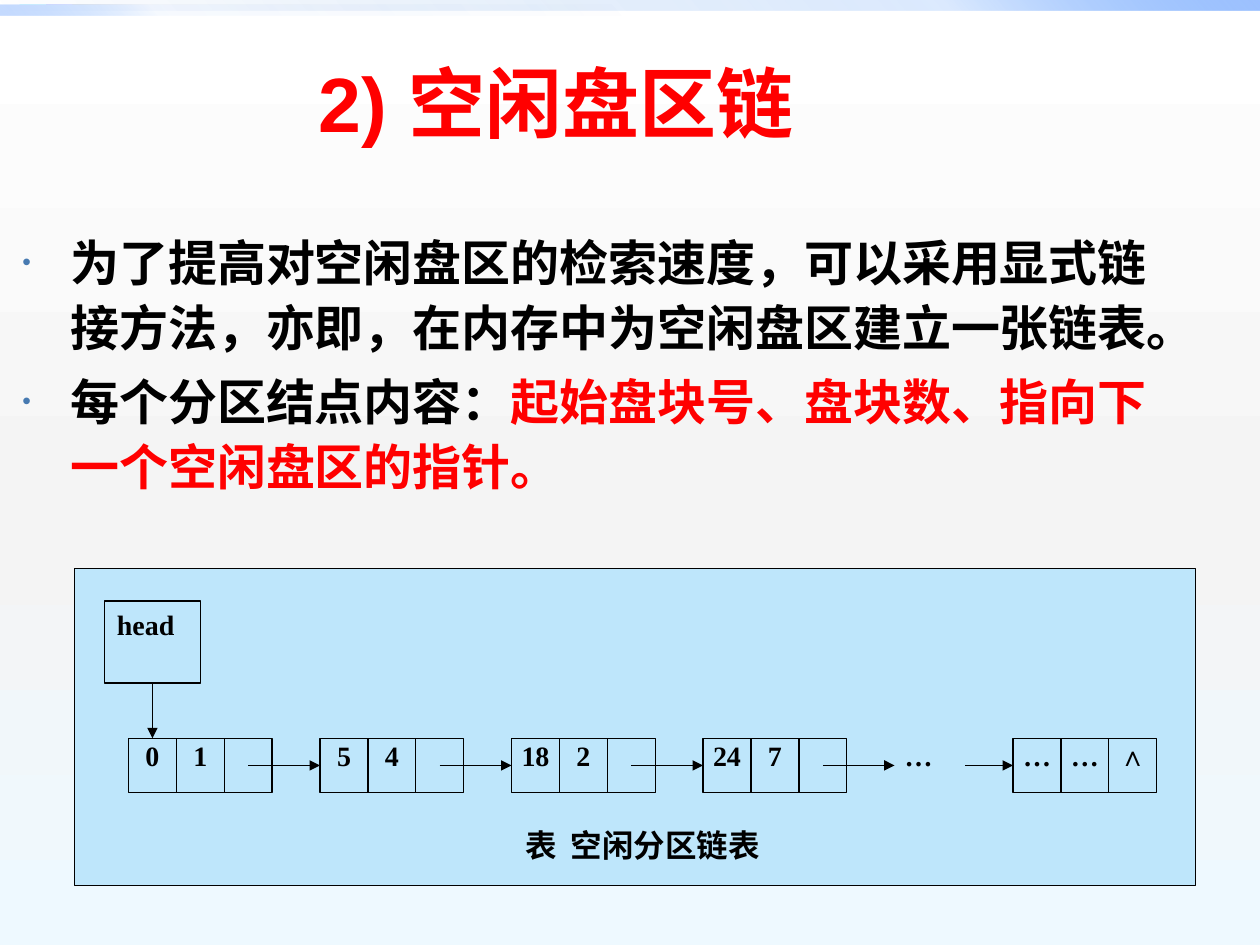
from lxml import etree
from pptx import Presentation
from pptx.dml.color import RGBColor
from pptx.enum.shapes import MSO_CONNECTOR as CONN, MSO_SHAPE as SHAPE
from pptx.enum.text import MSO_ANCHOR as ANCHOR, PP_ALIGN as ALIGN
from pptx.oxml.ns import qn
from pptx.util import Inches, Pt

COLORS = {
    "black": "000000", "red": "FF0000", "bullet": "477AB1", "panel": "BEE6FB",
    "deep": "0058B7", "blue": "4F95FF", "pale": "9EC2FF",
    "white": "FFFFFF", "gray": "F4F4F4", "ice": "EEF9FF",
}
SERIF = "Times New Roman"
CELL_W, CELL_H, ROW_Y = 0.38, 0.43, 5.86
NODE_X, NODE_STEP = 1.02, 1.52
NODES = [("0", "1"), ("5", "4"), ("18", "2"), ("24", "7")]


def rgb(name):
    return RGBColor.from_string(COLORS[name])


def sub(parent, tag, **attrs):
    return etree.SubElement(parent, qn(tag), {k: str(v) for k, v in attrs.items()})


def set_gradient(fill, root, stops, angle):
    """Fill with (position %, colour, opacity %) stops; the angle runs clockwise."""
    fill.gradient()
    grad = next(root.iter(qn("a:gradFill")))
    for child in list(grad):
        grad.remove(child)
    gs_list = sub(grad, "a:gsLst")
    for pos, color, opacity in stops:
        clr = sub(sub(gs_list, "a:gs", pos=pos * 1000), "a:srgbClr", val=COLORS[color])
        if opacity < 100:
            sub(clr, "a:alpha", val=opacity * 1000)
    sub(grad, "a:lin", ang=angle * 60000, scaled=0)


def set_font(p, size, color="black", name=SERIF):
    f = p.font
    f.size, f.bold, f.name = Pt(size), True, name
    f.color.rgb = rgb(color)


def add_rect(s, x, y, w, h, fill=None, outlined=True):
    sp = s.shapes.add_shape(SHAPE.RECTANGLE, Inches(x), Inches(y), Inches(w), Inches(h))
    sp.shadow.inherit = False
    if fill:
        sp.fill.solid()
        sp.fill.fore_color.rgb = rgb(fill)
    else:
        sp.fill.background()
    if outlined:
        sp.line.color.rgb = rgb("black")
        sp.line.width = Pt(0.75)
    else:
        sp.line.fill.background()
    return sp


def add_box(s, x, y, w, h):
    return s.shapes.add_textbox(Inches(x), Inches(y), Inches(w), Inches(h))


def write(sp, text, size, align=ALIGN.CENTER, anchor=ANCHOR.TOP, inset=None, **font):
    tf = sp.text_frame
    tf.word_wrap = True
    tf.vertical_anchor = anchor
    if inset is not None:
        tf.margin_left = tf.margin_right = tf.margin_top = tf.margin_bottom = inset
    p = tf.paragraphs[0]
    p.text, p.alignment = text, align
    set_font(p, size, **font)


def add_arrow(s, x1, y1, x2, y2):
    c = s.shapes.add_connector(CONN.STRAIGHT, Inches(x1), Inches(y1), Inches(x2), Inches(y2))
    c.line.color.rgb = rgb("black")
    c.line.width = Pt(0.75)
    sub(c.line._get_or_add_ln(), "a:tailEnd", type="triangle")
    sub(c._element.spPr, "a:effectLst")


def add_node(s, x, values):
    """A row of three cells: start block, block count, pointer."""
    for i, value in enumerate(values):
        cell = add_rect(s, x + i * CELL_W, ROW_Y, CELL_W, CELL_H)
        if value:
            write(cell, value, 16, inset=0)


def add_bullets(s, items):
    tf = add_box(s, 0.08, 1.75, 9.45, 1.84).text_frame
    tf.word_wrap = True
    for i, runs in enumerate(items):
        p = tf.add_paragraph() if i else tf.paragraphs[0]
        set_font(p, 28, name="Cambria")
        p.line_spacing, p.space_before = 1.1, Pt(5.6)
        for text, color in runs:
            r = p.add_run()
            r.text = text
            r.font.size, r.font.bold, r.font.name = Pt(28), True, "Cambria"
            r.font.color.rgb = rgb(color)
        ppr = p._p.get_or_add_pPr()
        ppr.set("marL", str(Inches(0.38)))
        ppr.set("indent", str(-Inches(0.38)))
        bullet = etree.Element("bullet")
        sub(sub(bullet, "a:buClr"), "a:srgbClr", val=COLORS["bullet"])
        sub(bullet, "a:buSzPct", val=50000)
        sub(bullet, "a:buFont", typeface="Arial")
        sub(bullet, "a:buChar", char="•")
        default_font = ppr.find(qn("a:defRPr"))
        for el in list(bullet):
            default_font.addprevious(el)


def add_backdrop(s):
    set_gradient(s.background.fill, s._element,
                 [(0, "white", 100), (55, "gray", 100), (100, "ice", 100)], 90)
    bars = [(0, 10, (0, 20, 100), 315), (0.04, 5, (0, 5, 60), 135)]
    for y, w, opacities, angle in bars:
        bar = add_rect(s, 0, y, w, 0.08, outlined=False)
        stops = list(zip((0, 75, 100), ("deep", "blue", "pale"), opacities))
        set_gradient(bar.fill, bar._element, stops, angle)


def add_chain(s):
    add_rect(s, 0.59, 4.51, 8.9, 2.52, fill="panel")
    write(add_box(s, 1.02, 6.51, 8.16, 0.7), "表  空闲分区链表", 18)
    arrow_y = ROW_Y + CELL_H / 2
    for i, (start, count) in enumerate(NODES):
        x = NODE_X + i * NODE_STEP
        add_node(s, x, (start, count, ""))
        add_arrow(s, x + 2.5 * CELL_W, arrow_y, x + NODE_STEP, arrow_y)
    gap_x = NODE_X + len(NODES) * NODE_STEP
    last_x = 8.04
    write(add_box(s, gap_x, ROW_Y, CELL_W, CELL_H), "…", 16, inset=0)
    add_arrow(s, last_x - CELL_W, arrow_y, last_x, arrow_y)
    add_node(s, last_x, ("…", "…", "∧"))
    write(add_rect(s, 0.83, 4.77, 0.76, 0.65), "head", 16, align=ALIGN.JUSTIFY)
    add_arrow(s, 1.21, 5.43, 1.21, ROW_Y)


def main():
    prs = Presentation()
    prs.slide_width, prs.slide_height = Inches(10), Inches(7.5)
    s = prs.slides.add_slide(prs.slide_layouts[6])
    add_backdrop(s)
    write(add_box(s, 0, 0.22, 8.83, 1.17), "2) 空闲盘区链", 44,
          anchor=ANCHOR.MIDDLE, color="red", name="Arial")
    add_bullets(s, [
        [("为了提高对空闲盘区的检索速度，可以采用显式链接方法，亦即，在内存中为空闲盘区建立一张链表。", "black")],
        [("每个分区结点内容：", "black"),
         ("起始盘块号、盘块数、指向下一个空闲盘区的指针。", "red")],
    ])
    add_chain(s)
    prs.save("out.pptx")


if __name__ == "__main__":
    main()
